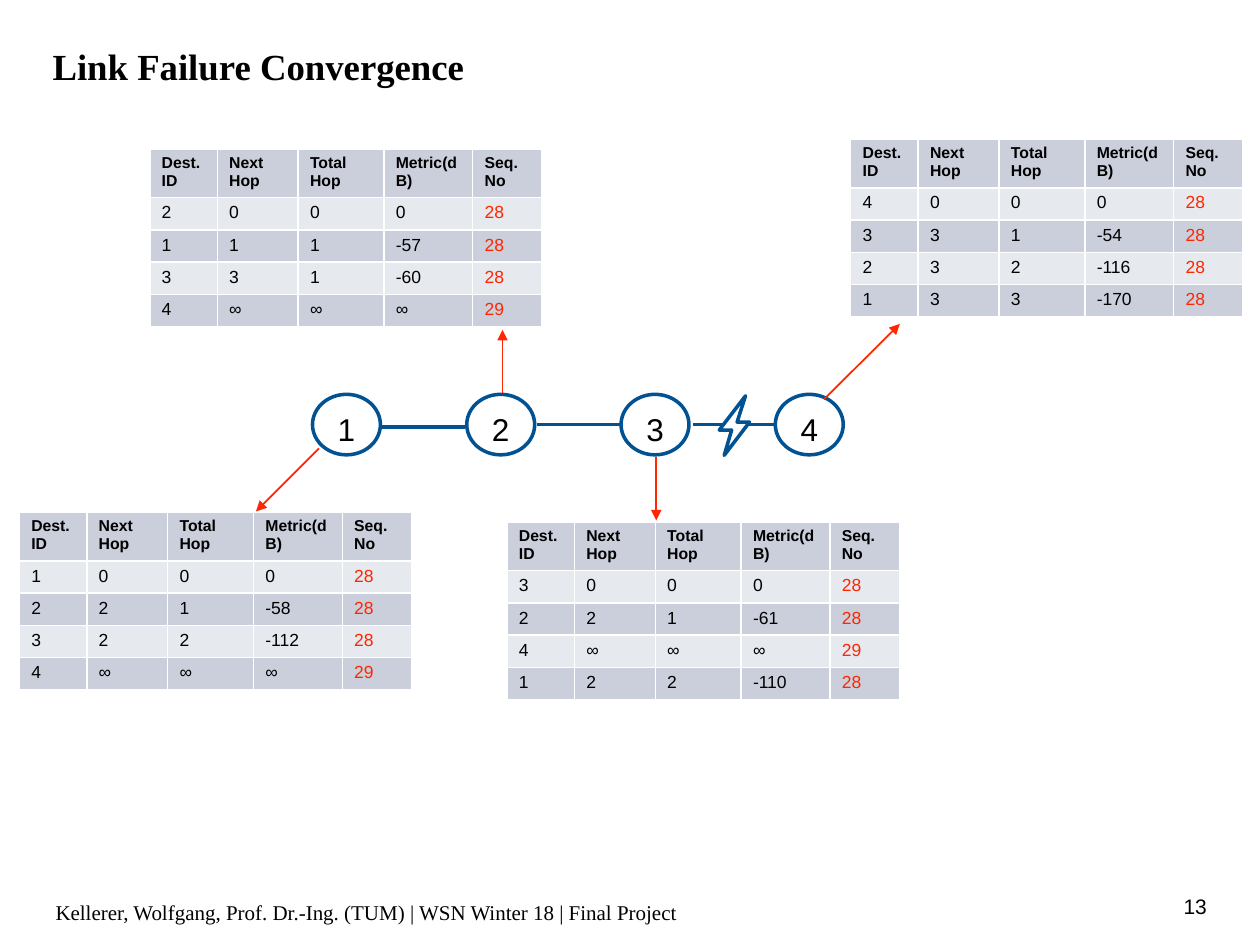
from lxml import etree
from pptx import Presentation
from pptx.dml.color import RGBColor
from pptx.enum.shapes import MSO_CONNECTOR, MSO_SHAPE
from pptx.enum.text import MSO_ANCHOR, PP_ALIGN
from pptx.oxml.ns import qn
from pptx.util import Cm, Pt

OVAL = MSO_SHAPE.OVAL
STRAIGHT = MSO_CONNECTOR.STRAIGHT
TOP, MIDDLE = MSO_ANCHOR.TOP, MSO_ANCHOR.MIDDLE
LEFT, CENTER, RIGHT = PP_ALIGN.LEFT, PP_ALIGN.CENTER, PP_ALIGN.RIGHT

BLACK = RGBColor(0x00, 0x00, 0x00)
WHITE = RGBColor(0xFF, 0xFF, 0xFF)
BLUE = RGBColor(0x00, 0x52, 0x93)
RED = RGBColor(0xFF, 0x26, 0x00)
DARK_BAND = RGBColor(0xCA, 0xCF, 0xDB)
LIGHT_BAND = RGBColor(0xE6, 0xE9, 0xEE)

SANS, SERIF = "Arial", "Times New Roman"

HEADINGS = ("Dest. ID", "Next Hop", "Total Hop", "Metric(dB)", "Seq. No")
COLUMN_WIDTHS = (1.36, 1.63, 1.73, 1.79, 1.4)
HEADER_HEIGHT, ROW_HEIGHT = 0.95, 0.65

# Left, top and the rows of each node's routing table
ROUTING_TABLES = (
    (3.02, 3.0, (("2", "0", "0", "0", "28"), ("1", "1", "1", "-57", "28"),
                 ("3", "3", "1", "-60", "28"), ("4", "∞", "∞", "∞", "29"))),
    (0.39, 10.32, (("1", "0", "0", "0", "28"), ("2", "2", "1", "-58", "28"),
                   ("3", "2", "2", "-112", "28"), ("4", "∞", "∞", "∞", "29"))),
    (10.22, 10.52, (("3", "0", "0", "0", "28"), ("2", "2", "1", "-61", "28"),
                    ("4", "∞", "∞", "∞", "29"), ("1", "2", "2", "-110", "28"))),
    (17.15, 2.8, (("4", "0", "0", "0", "28"), ("3", "3", "1", "-54", "28"),
                  ("2", "3", "2", "-116", "28"), ("1", "3", "3", "-170", "28"))),
)

# Start and end of the arrow from each node to its table
TABLE_ARROWS = (
    (6.43, 9.04, 5.16, 10.31),
    (10.13, 7.92, 10.13, 6.65),
    (13.23, 9.22, 13.23, 10.49),
    (16.61, 8.05, 18.14, 6.53),
)

NODE_PITCH, NODE_WIDTH, NODE_HEIGHT = 3.11, 1.37, 1.22
LINK_LENGTH = 1.7
# Start of each link relative to the node chain
LINK_STARTS = ((1.37, 0.66), (4.52, 0.61), (7.67, 0.61))
# Bolt outline relative to its box
BOLT = ((0.53, 0), (0, 0.69), (0.25, 0.69), (0.1, 1.2), (0.61, 0.53), (0.36, 0.53))


def write_text(text_frame, text, size=10, font=SANS, color=BLACK, bold=False, align=LEFT):
    paragraph = text_frame.paragraphs[0]
    paragraph.alignment = align
    run = paragraph.add_run()
    run.text = text
    run.font.name = font
    run.font.size = Pt(size)
    run.font.bold = bold
    run.font.color.rgb = color


def add_text(slide, box, text, anchor=TOP, side_inset=0.13, **text_format):
    shape = slide.shapes.add_textbox(*map(Cm, box))
    frame = shape.text_frame
    frame.word_wrap = True
    frame.vertical_anchor = anchor
    frame.margin_left = frame.margin_right = Cm(side_inset)
    frame.margin_top = frame.margin_bottom = Cm(0.13)
    write_text(frame, text, **text_format)


def add_line(slide, start_x, start_y, end_x, end_y, color, width, arrow=False):
    connector = slide.shapes.add_connector(
        STRAIGHT, Cm(start_x), Cm(start_y), Cm(end_x), Cm(end_y))
    connector.line.color.rgb = color
    connector.line.width = Pt(width)
    properties = connector._element.spPr
    if arrow:
        etree.SubElement(properties.find(qn("a:ln")), qn("a:tailEnd"), type="triangle")
    etree.SubElement(properties, qn("a:effectLst"))


def style_outlined(shape):
    shape.shadow.inherit = False
    shape.fill.solid()
    shape.fill.fore_color.rgb = WHITE
    shape.line.color.rgb = BLUE
    shape.line.width = Pt(2)


def add_cell_borders(cell):
    properties = cell._tc.get_or_add_tcPr()
    for side in ("a:lnL", "a:lnR", "a:lnT", "a:lnB"):
        line = etree.SubElement(properties, qn(side), w=str(Pt(0.96)))
        fill = etree.SubElement(line, qn("a:solidFill"))
        etree.SubElement(fill, qn("a:srgbClr"), val=str(WHITE))


def add_routing_table(slide, left, top, routes):
    rows = (HEADINGS, *routes)
    heights = [HEADER_HEIGHT] + [ROW_HEIGHT] * len(routes)
    table = slide.shapes.add_table(
        len(rows), len(HEADINGS), Cm(left), Cm(top),
        Cm(sum(COLUMN_WIDTHS)), Cm(sum(heights))).table
    table.first_row = table.horz_banding = False
    for column, width in zip(table.columns, COLUMN_WIDTHS):
        column.width = Cm(width)
    for row_index, (values, height) in enumerate(zip(rows, heights)):
        table.rows[row_index].height = Cm(height)
        header = row_index == 0
        for column_index, value in enumerate(values):
            cell = table.cell(row_index, column_index)
            add_cell_borders(cell)
            cell.fill.solid()
            cell.fill.fore_color.rgb = LIGHT_BAND if row_index % 2 else DARK_BAND
            cell.margin_left = cell.margin_right = Cm(0.24)
            cell.margin_top = cell.margin_bottom = Cm(0.11)
            sequence = column_index == len(HEADINGS) - 1
            write_text(cell.text_frame, value, size=9 if header else 10, bold=header,
                       color=RED if sequence and not header else BLACK)


def add_node(slide, left, top, label):
    node = slide.shapes.add_shape(OVAL, Cm(left), Cm(top), Cm(NODE_WIDTH), Cm(NODE_HEIGHT))
    style_outlined(node)
    add_text(slide, (left + 0.2, top + 0.18, NODE_WIDTH - 0.4, 1.02), label,
             size=18, align=CENTER)


def add_node_chain(slide, left, top):
    for index in range(4):
        add_node(slide, left + index * NODE_PITCH, top, str(index + 1))
    for x, y in LINK_STARTS:
        add_line(slide, left + x, top + y, left + x + LINK_LENGTH, top + y, BLUE, 2)


def add_failure_bolt(slide, left, top):
    points = [(Cm(left + x), Cm(top + y)) for x, y in BOLT]
    builder = slide.shapes.build_freeform(*points[0])
    builder.add_line_segments(points[1:], close=True)
    style_outlined(builder.convert_to_shape())


def add_footer(slide, left, top):
    add_text(slide, (left, top + 0.13, 21.9, 0.76),
             "Kellerer, Wolfgang, Prof. Dr.-Ing. (TUM) | WSN Winter 18 | Final Project",
             anchor=MIDDLE, size=12, font=SERIF)
    add_text(slide, (left + 22.71, top, 0.76, 0.74), "13", size=12, align=RIGHT)


def main():
    presentation = Presentation()
    presentation.slide_width, presentation.slide_height = Cm(25.4), Cm(19.05)
    slide = presentation.slides.add_slide(presentation.slide_layouts[6])
    add_footer(slide, 0.99, 17.88)
    add_node_chain(slide, 6.3, 7.95)
    for left, top, routes in ROUTING_TABLES:
        add_routing_table(slide, left, top, routes)
    for arrow in TABLE_ARROWS:
        add_line(slide, *arrow, RED, 1, arrow=True)
    add_failure_bolt(slide, 14.5, 7.98)
    add_text(slide, (0.81, 0.76, 20.78, 1.07), "Link Failure Convergence",
             side_inset=0.25, size=21, font=SERIF, bold=True)
    presentation.save("out.pptx")


if __name__ == "__main__":
    main()
